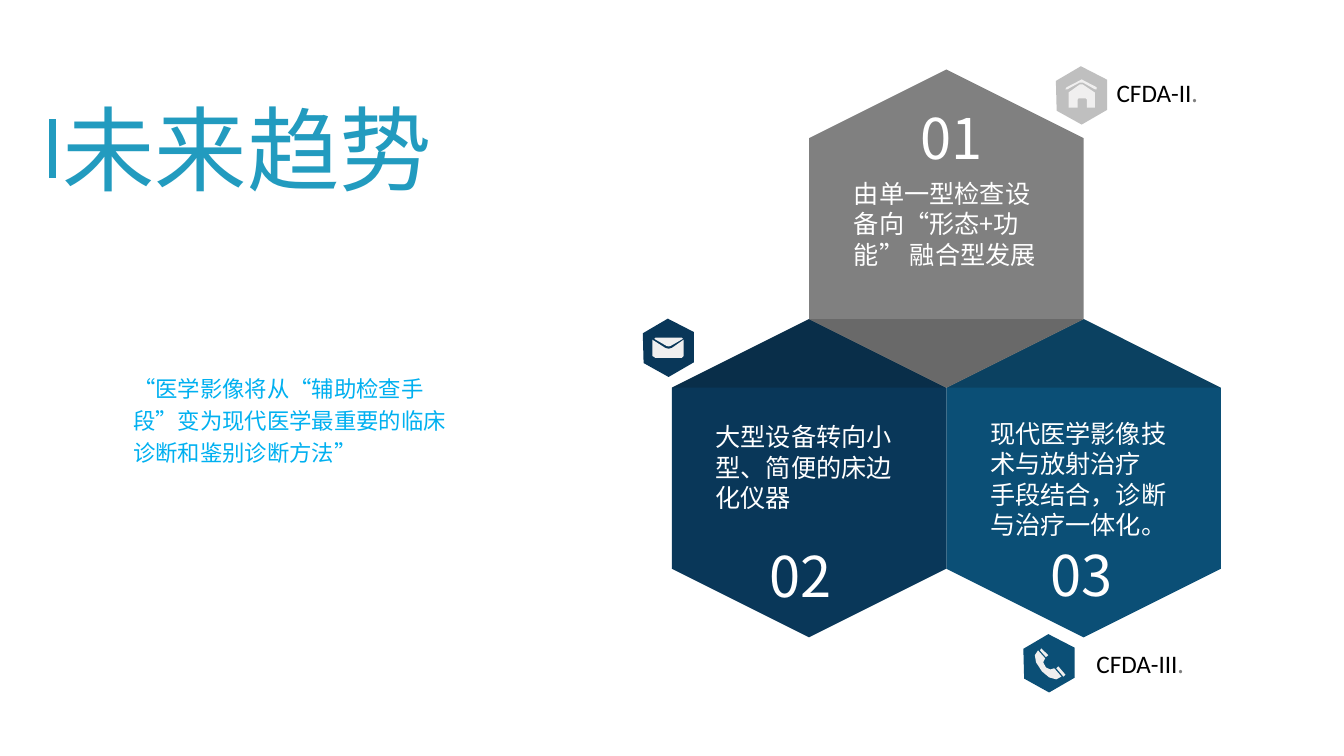
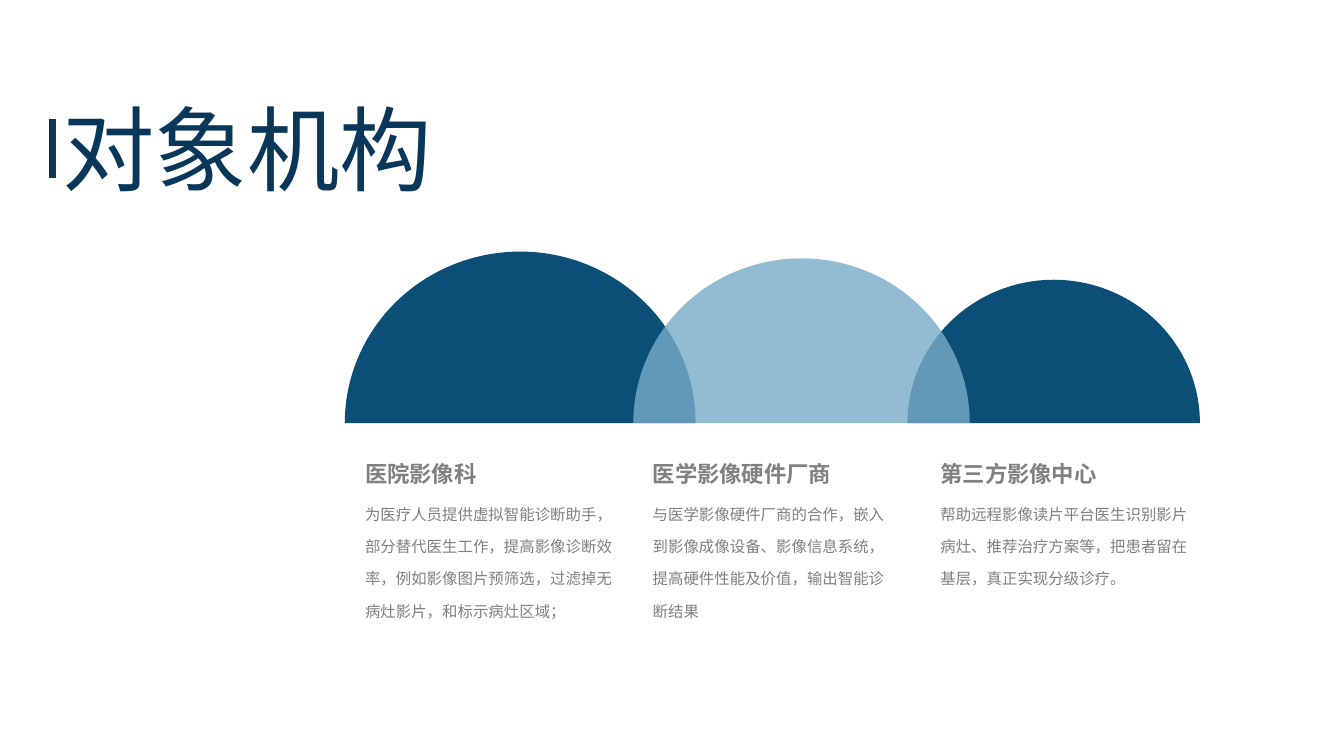
from dataclasses import dataclass

from lxml.etree import SubElement
from pptx import Presentation
from pptx.dml.color import RGBColor
from pptx.enum.shapes import MSO_CONNECTOR as Connector
from pptx.enum.shapes import MSO_SHAPE as Preset
from pptx.enum.text import MSO_ANCHOR as Anchor
from pptx.enum.text import MSO_AUTO_SIZE as AutoSize
from pptx.enum.text import PP_ALIGN as Align
from pptx.oxml.ns import qn
from pptx.util import Cm, Pt

COLOURS = {
    "navy": "093759",
    "ocean": "0B4F76",
    "teal": "229BBF",
    "sky": "00B0F0",
    "mist": "79ACC9",
    "grey": "808080",
    "silver": "BFBFBF",
    "icon": "F0EFEF",
    "shade": "0D0D0D",
    "white": "FFFFFF",
    "black": "000000",
}
CJK_FONT = "Noto Sans CJK SC"
LATIN_FONT = "Calibri"
LINE_RATIO = 1.21
BODY_PITCH = 23

HEX_WIDTH, HEX_HEIGHT = 6.92, 8.02
HEX_HALF = HEX_WIDTH / 2
SHOULDER = HEX_WIDTH / 4
HEX_X, HEX_Y = 23.85, 5.76
ROW_STEP = HEX_HEIGHT - SHOULDER

DOME_BASE = 10.66
HALF_TURN = "10800000"
COLUMN_LEFT, COLUMN_PITCH = 8.95, 7.25

Points = list[tuple[float, float]]

BADGE_OUTLINE: Points = [(0.01, 0.37), (0.64, 0), (1.3, 0.34), (1.3, 1.1), (0.66, 1.47), (0.03, 1.12)]
HOUSE: list[Points] = [
    [(0.61, 0.46), (0.69, 0.46), (0.99, 0.66), (0.99, 1.04), (0.79, 1.04), (0.79, 0.84),
     (0.76, 0.81), (0.58, 0.81), (0.56, 0.84), (0.56, 1.04), (0.33, 1.04), (0.33, 0.66)],
    [(1.04, 0.58), (0.99, 0.58), (0.69, 0.41), (0.61, 0.41), (0.3, 0.58), (0.25, 0.58),
     (0.28, 0.53), (0.61, 0.36), (0.66, 0.33), (0.71, 0.36), (1.04, 0.53)],
]
PHONE: list[Points] = [
    [(0.79, 0.86), (0.69, 0.89), (0.58, 0.84), (0.51, 0.71), (0.56, 0.61), (0.38, 0.41),
     (0.3, 0.53), (0.33, 0.71), (0.48, 0.94), (0.66, 1.09), (0.84, 1.14), (0.97, 1.07)],
    [(1.07, 1.02), (1.02, 1.07), (0.84, 0.86), (0.89, 0.81)],
    [(0.64, 0.53), (0.58, 0.58), (0.43, 0.41), (0.46, 0.36)],
]
ENVELOPE: list[Points] = [
    [(0.71, 0.69), (1.02, 0.51), (0.99, 0.48), (0.33, 0.48), (0.3, 0.51), (0.61, 0.69), (0.66, 0.7)],
    [(0.74, 0.74), (0.66, 0.76), (0.58, 0.74), (0.25, 0.53), (0.25, 0.94), (0.33, 0.99),
     (0.99, 0.99), (1.04, 0.94), (1.04, 0.53)],
]


@dataclass
class Box:
    left: float
    top: float
    width: float
    height: float


@dataclass
class Style:
    size: float
    colour: str
    bold: bool = False
    pitch: float | None = None


@dataclass
class Trend:
    centre_x: float
    centre_y: float
    colour: str
    number: str
    number_box: Box
    lines: list[str]
    text_box: Box


@dataclass
class Badge:
    left: float
    top: float
    colour: str
    icon: list[Points]


@dataclass
class Label:
    text: str
    box: Box


@dataclass
class Dome:
    left: float
    width: float
    height: float
    colour: str
    alpha: int = 100


@dataclass
class Audience:
    heading: str
    detail: str
    width: float
    height: float


NUMBER = Style(40, "white")
TREND = Style(18, "white")
QUOTE = Style(16, "sky", pitch=BODY_PITCH)
HEADING = Style(16, "grey", bold=True)
DETAIL = Style(11, "grey", pitch=BODY_PITCH)

TRENDS = [
    Trend(HEX_X + HEX_HALF, HEX_Y + ROW_STEP, "ocean", "03", Box(26.23, 13.47, 2.08, 1.96),
          ["现代医学影像技术与放射治疗", "手段结合，诊断与治疗一体化。"], Box(24.7, 10.4, 5.56, 3.33)),
    Trend(HEX_X - HEX_HALF, HEX_Y + ROW_STEP, "navy", "02", Box(19.15, 13.5, 2.08, 1.96),
          ["大型设备转向小型、简便的床边化仪器"], Box(17.78, 10.49, 5.56, 2.57)),
    Trend(HEX_X, HEX_Y, "grey", "01", Box(22.94, 2.46, 2.08, 1.96),
          ["由单一型检查设备向“形态+功能” 融合型发展"], Box(21.27, 4.36, 5.56, 2.57)),
]
BADGES = [
    Badge(26.6, 1.67, "silver", HOUSE),
    Badge(25.78, 15.98, "ocean", PHONE),
    Badge(16.19, 8.03, "navy", ENVELOPE),
]
LABELS = [
    Label("CFDA-II", Box(27.89, 1.81, 4.95, 1.02)),
    Label("CFDA-III", Box(27.38, 16.21, 4.95, 1.02)),
]
DOMES = [
    Dome(22.87, 7.37, 3.61, "ocean"),
    Dome(8.69, 8.84, 4.32, "ocean"),
    Dome(15.96, 8.48, 4.15, "mist", 80),
]
AUDIENCES = [
    Audience("医院影像科",
             "为医疗人员提供虚拟智能诊断助手，部分替代医生工作，提高影像诊断效率，例如影像图片预筛选，过滤掉无病灶影片，和标示病灶区域；",
             7.01, 4.34),
    Audience("医学影像硬件厂商",
             "与医学影像硬件厂商的合作，嵌入到影像成像设备、影像信息系统，提高硬件性能及价值，输出智能诊断结果",
             6.68, 3.53),
    Audience("第三方影像中心",
             "帮助远程影像读片平台医生识别影片病灶、推荐治疗方案等，把患者留在基层，真正实现分级诊疗。",
             6.81, 2.72),
]


def rgb(name: str) -> RGBColor:
    return RGBColor.from_string(COLOURS[name])


def paint(shape, colour: str, alpha: int = 100) -> None:
    shape.shadow.inherit = False
    shape.line.fill.background()
    shape.fill.solid()
    shape.fill.fore_color.rgb = rgb(colour)
    if alpha < 100:
        tint = shape._element.spPr.find(qn("a:solidFill"))[0]
        SubElement(tint, qn("a:alpha")).set("val", str(alpha * 1000))


def draw_outline(page, points: Points, colour: str, alpha: int = 100, left: float = 0, top: float = 0):
    corners = [(Cm(left + x), Cm(top + y)) for x, y in points]
    builder = page.shapes.build_freeform(*corners[0])
    builder.add_line_segments(corners[1:], close=True)
    shape = builder.convert_to_shape()
    paint(shape, colour, alpha)
    return shape


def format_paragraph(para, style: Style) -> None:
    para.alignment = Align.LEFT
    para.line_spacing = Pt(style.pitch or round(style.size * LINE_RATIO, 1))
    font = para.font
    font.name = CJK_FONT
    font.size = Pt(style.size)
    font.bold = style.bold
    font.color.rgb = rgb(style.colour)
    defaults = para._p.pPr.find(qn("a:defRPr"))
    SubElement(defaults, qn("a:ea")).set("typeface", CJK_FONT)


def add_frame(page, box: Box, wrap: bool = True):
    frame = page.shapes.add_textbox(Cm(box.left), Cm(box.top), Cm(box.width), Cm(box.height)).text_frame
    frame.word_wrap = wrap
    return frame


def draw_text(page, box: Box, lines: list[str], style: Style, wrap: bool = True) -> None:
    frame = add_frame(page, box, wrap)
    for index, line in enumerate(lines):
        para = frame.add_paragraph() if index else frame.paragraphs[0]
        para.text = line
        format_paragraph(para, style)


def draw_label(page, label: Label) -> None:
    para = add_frame(page, label.box).paragraphs[0]
    for text, font_name, colour in ((label.text, LATIN_FONT, "black"), (".", CJK_FONT, "grey")):
        span = para.add_run()
        span.text = text
        span.font.name = font_name
        span.font.size = Pt(18)
        span.font.color.rgb = rgb(colour)
    para.line_spacing = Pt(21.8)


def add_page(deck, title: str, colour: str):
    page = deck.slides.add_slide(deck.slide_layouts[5])
    holder = page.shapes.title
    holder.left, holder.top, holder.width, holder.height = Cm(1.32), Cm(2.16), Cm(9.91), Cm(3.07)
    frame = holder.text_frame
    frame.text = title
    frame.word_wrap = False
    frame.auto_size = AutoSize.NONE
    frame.vertical_anchor = Anchor.TOP
    format_paragraph(frame.paragraphs[0], Style(66, colour))
    bar = page.shapes.add_connector(Connector.STRAIGHT, Cm(1.32), Cm(3), Cm(1.32), Cm(4.48))
    bar.line.color.rgb = rgb(colour)
    bar.line.width = Pt(4.5)
    SubElement(bar._element.spPr, qn("a:effectLst"))
    return page


def draw_hexagon(page, trend: Trend) -> None:
    hexagon = page.shapes.add_shape(
        Preset.HEXAGON, Cm(trend.centre_x - HEX_HEIGHT / 2), Cm(trend.centre_y - HEX_HALF),
        Cm(HEX_HEIGHT), Cm(HEX_WIDTH))
    hexagon.rotation = 270
    paint(hexagon, trend.colour)


def draw_shades(page) -> None:
    low = HEX_Y + HEX_HEIGHT / 2
    high = low - SHOULDER
    for offset, tip, base in ((1, high, low), (-1, high, low), (0, low, high)):
        x = HEX_X + offset * HEX_HALF
        draw_outline(page, [(x, tip), (x + HEX_HALF, base), (x - HEX_HALF, base)], "shade", 20)


def draw_badge(page, badge: Badge) -> None:
    draw_outline(page, BADGE_OUTLINE, badge.colour, left=badge.left, top=badge.top)
    for part in badge.icon:
        draw_outline(page, part, "icon", left=badge.left, top=badge.top)


def draw_dome(page, dome: Dome) -> None:
    corners = [(0, 0), (dome.width / 2, -dome.height), (dome.width, 0)]
    shape = draw_outline(page, corners, dome.colour, dome.alpha, dome.left, DOME_BASE)
    first, *others = list(shape._element.iter(qn("a:lnTo")))
    outline = first.getparent()
    arc = SubElement(outline, qn("a:arcTo"))
    arc.set("wR", str(shape.width // 2))
    arc.set("hR", str(shape.height))
    arc.set("stAng", HALF_TURN)
    arc.set("swAng", HALF_TURN)
    outline.replace(first, arc)
    for side in others:
        outline.remove(side)


def build_trends(deck) -> None:
    page = add_page(deck, "未来趋势", "teal")
    for trend in TRENDS:
        draw_hexagon(page, trend)
    for badge in BADGES:
        draw_badge(page, badge)
    for label in LABELS:
        draw_label(page, label)
    draw_shades(page)
    for trend in TRENDS:
        draw_text(page, trend.number_box, [trend.number], NUMBER, wrap=False)
        draw_text(page, trend.text_box, trend.lines, TREND)
    draw_text(page, Box(3.11, 9.19, 8.84, 2.72),
              ["“医学影像将从“辅助检查手段”变为现代医学最重要的临床诊断和鉴别诊断方法”"], QUOTE)


def build_audiences(deck) -> None:
    page = add_page(deck, "对象机构", "navy")
    for dome in DOMES:
        draw_dome(page, dome)
    for index, audience in enumerate(AUDIENCES):
        left = COLUMN_LEFT + index * COLUMN_PITCH
        draw_text(page, Box(left, 11.46, 5.59, 0.94), [audience.heading], HEADING)
        draw_text(page, Box(left, 12.26, audience.width, audience.height), [audience.detail], DETAIL)


def main() -> None:
    deck = Presentation()
    deck.slide_width, deck.slide_height = Cm(33.87), Cm(19.05)
    build_trends(deck)
    build_audiences(deck)
    deck.save("out.pptx")


if __name__ == "__main__":
    main()
